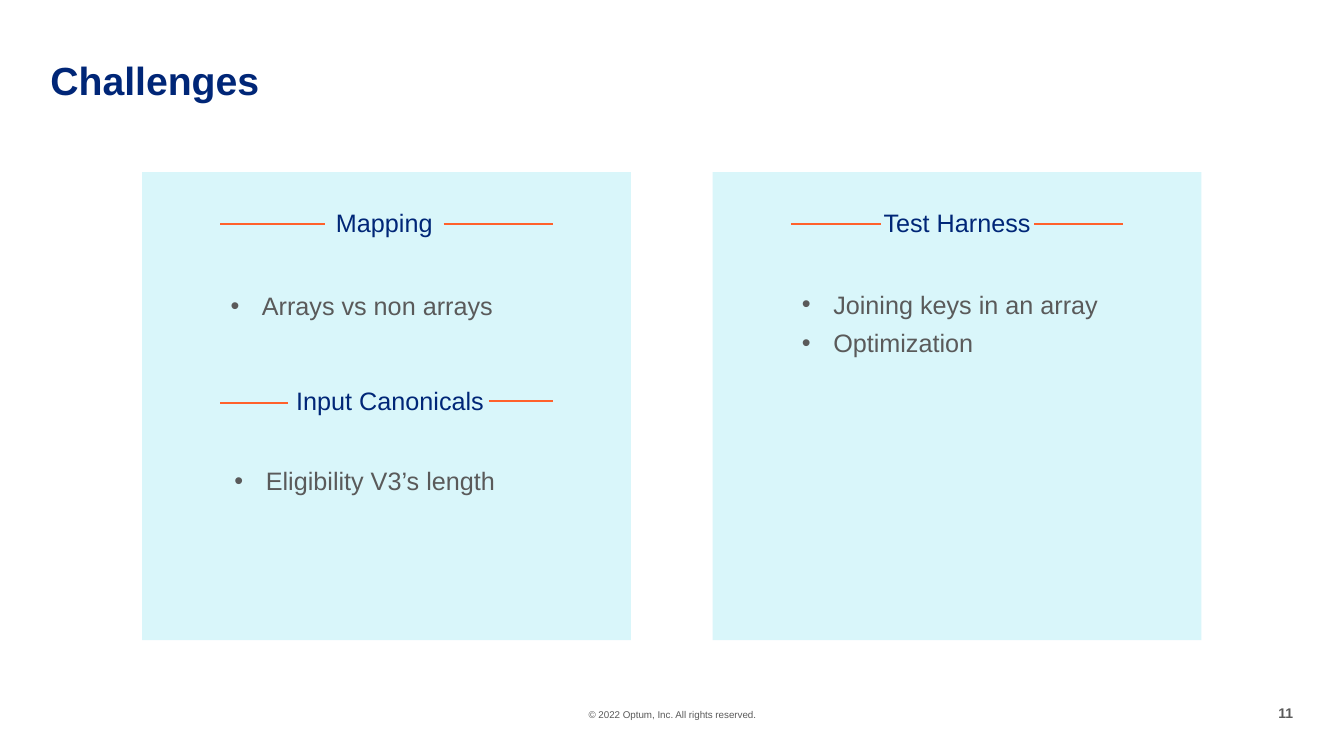
from dataclasses import dataclass

from lxml import etree
from pptx import Presentation
from pptx import util as u
from pptx.dml.color import RGBColor
from pptx.enum import shapes, text
from pptx.oxml import ns

COLORS = {"navy": "002677", "grey": "5A5A5A", "aqua": "D9F6FA", "orange": "FF612B"}
ALIGN = text.PP_ALIGN
TITLE_FONT = {"name": "Arial", "size": u.Pt(28), "bold": True}
BODY_FONT = {"name": "Arial", "size": u.Pt(18), "bold": False}
FOOTER_FONT = {"name": "Arial", "size": u.Pt(7), "bold": False}
NUMBER_FONT = {"name": "Arial", "size": u.Pt(10), "bold": True}

PANEL_TOP, PANEL_WIDTH, PANEL_HEIGHT = 4.34, 12.32, 11.79
RULE_INSET = 1.97
HEADING_HEIGHT = 1.02
BULLETS_WIDTH, BULLETS_HEIGHT = 9.6, 2.01


@dataclass
class Section:
    heading: str
    heading_left: float
    heading_top: float
    heading_width: float
    gap: tuple[float, float]  # where the left rule ends and the right one starts
    rule_heights: tuple[float, float]
    bullets: list[str]
    bullets_left: float
    bullets_top: float


@dataclass
class Panel:
    left: float
    sections: list[Section]


PANELS = [
    Panel(3.58, [
        Section("Mapping", 8.2, 5.11, 2.97, (8.2, 11.18), (5.64, 5.64),
                ["Arrays vs non arrays"], 4.93, 7.19),
        Section("Input Canonicals", 7.19, 9.58, 5.28, (7.26, 12.32), (10.16, 10.1),
                ["Eligibility V3’s length"], 5.03, 11.61),
    ]),
    Panel(17.96, [
        Section("Test Harness", 22, 5.11, 4.24, (22.2, 26.06), (5.64, 5.64),
                ["Joining keys in an array", "Optimization"], 19.33, 7.16),
    ]),
]


def rgb(name: str) -> RGBColor:
    return RGBColor.from_string(COLORS[name])


def style(para, font: dict, color: str) -> None:
    for key, value in font.items():
        setattr(para.font, key, value)
    para.font.color.rgb = rgb(color)


def remove_insets(frame) -> None:
    for side in ("left", "top", "right", "bottom"):
        setattr(frame, f"margin_{side}", 0)


def add_text(page, place: tuple, lines: list[str], font: dict, color: str,
             align=ALIGN.LEFT, wrap: bool = True, bulleted: bool = False):
    frame = page.shapes.add_textbox(*map(u.Cm, place)).text_frame
    frame.word_wrap = wrap
    for index, line in enumerate(lines):
        para = frame.paragraphs[0] if index == 0 else frame.add_paragraph()
        para.text = line
        para.alignment = align
        if index:
            para.space_before = u.Pt(6)
        if bulleted:
            add_bullet(para, color)
        style(para, font, color)
    return frame


def add_bullet(para, color: str) -> None:
    para.level = 1
    props = para._p.get_or_add_pPr()
    props.set("marL", str(u.Cm(1.42)))
    props.set("indent", str(u.Cm(-0.79)))
    bullet_color = etree.SubElement(props, ns.qn("a:buClr"))
    etree.SubElement(bullet_color, ns.qn("a:srgbClr"), val=COLORS[color])
    etree.SubElement(props, ns.qn("a:buFont"), typeface="Arial")
    etree.SubElement(props, ns.qn("a:buChar"), char="•")


def add_rule(page, start: float, end: float, height: float) -> None:
    rule = page.shapes.add_connector(
        shapes.MSO_CONNECTOR.STRAIGHT, *map(u.Cm, (start, height, end, height)))
    rule.line.color.rgb = rgb("orange")
    rule.line.width = u.Pt(1.5)
    etree.SubElement(rule._element.spPr, ns.qn("a:effectLst"))


def add_section(page, panel: Panel, section: Section) -> None:
    add_text(page, (section.heading_left, section.heading_top,
                    section.heading_width, HEADING_HEIGHT),
             [section.heading], BODY_FONT, "navy", ALIGN.CENTER, wrap=False)
    left_height, right_height = section.rule_heights
    add_rule(page, panel.left + RULE_INSET, section.gap[0], left_height)
    add_rule(page, section.gap[1], panel.left + PANEL_WIDTH - RULE_INSET, right_height)
    add_text(page, (section.bullets_left, section.bullets_top,
                    BULLETS_WIDTH, BULLETS_HEIGHT),
             section.bullets, BODY_FONT, "grey", bulleted=True)


def add_panel(page, panel: Panel) -> None:
    box = page.shapes.add_shape(
        shapes.MSO_SHAPE.RECTANGLE,
        *map(u.Cm, (panel.left, PANEL_TOP, PANEL_WIDTH, PANEL_HEIGHT)))
    box.shadow.inherit = False
    box.fill.solid()
    box.fill.fore_color.rgb = rgb("aqua")
    box.line.fill.background()
    for section in panel.sections:
        add_section(page, panel, section)


def set_title(page, words: str) -> None:
    title = page.shapes.title
    place = {"left": 1.27, "top": 1.55, "width": 26.67, "height": 1.07}
    for key, value in place.items():
        setattr(title, key, u.Cm(value))
    frame = title.text_frame
    remove_insets(frame)
    frame.vertical_anchor = text.MSO_ANCHOR.TOP
    frame.text = words
    para = frame.paragraphs[0]
    para.alignment = ALIGN.LEFT
    para.line_spacing = 0.9
    style(para, TITLE_FONT, "navy")


def add_footer(page) -> None:
    notice = add_text(page, (13.06, 17.86, 7.77, 0.3),
                      ["© 2022 Optum, Inc. All rights reserved."],
                      FOOTER_FONT, "grey", ALIGN.CENTER)
    number = add_text(page, (32.16, 17.75, 0.43, 0.43), ["11"],
                      NUMBER_FONT, "grey", ALIGN.RIGHT, wrap=False)
    for frame in (notice, number):
        remove_insets(frame)


def main() -> None:
    deck = Presentation()
    deck.slide_width, deck.slide_height = u.Cm(33.87), u.Cm(19.05)
    page = deck.slides.add_slide(deck.slide_layouts.get_by_name("Title Only"))
    set_title(page, "Challenges")
    for panel in PANELS:
        add_panel(page, panel)
    add_footer(page)
    deck.save("out.pptx")


if __name__ == "__main__":
    main()
